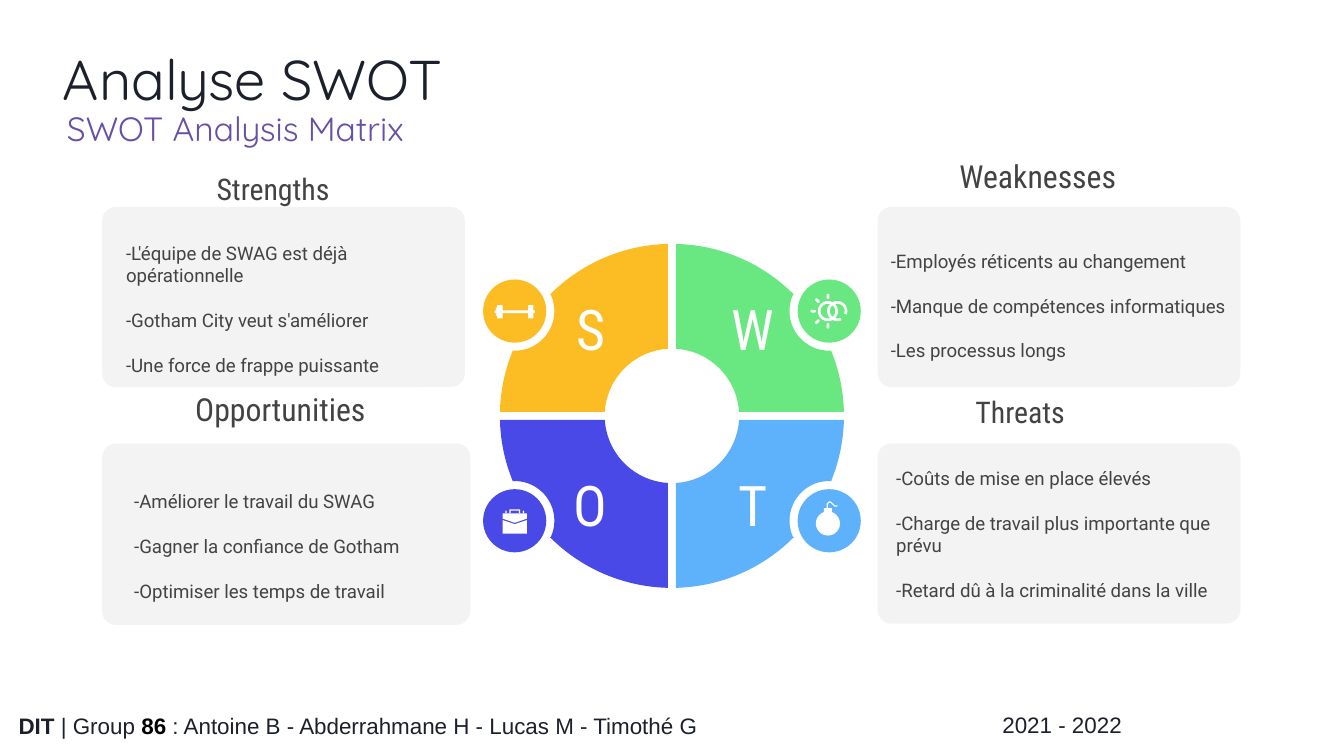
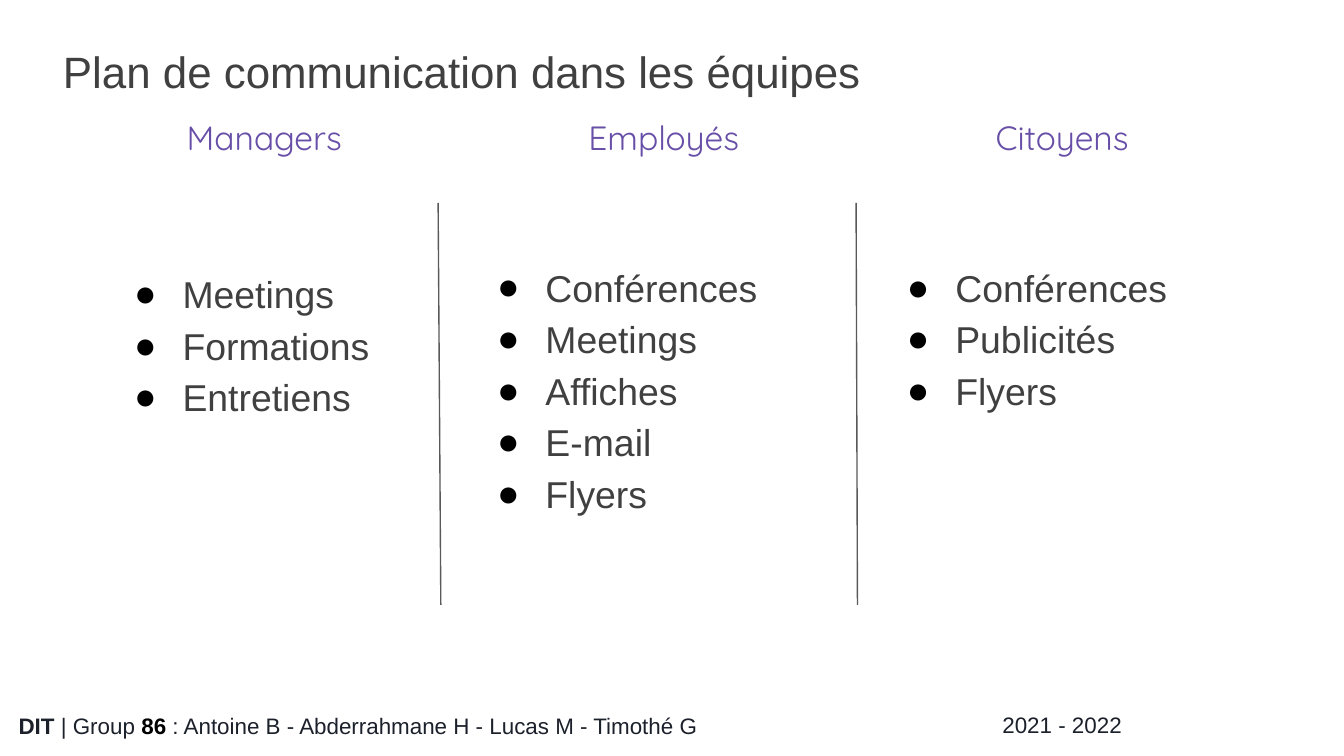
from math import atan2, cos, degrees, radians, sin

from lxml import etree
from pptx import Presentation
from pptx import util as u
from pptx.dml.color import RGBColor
from pptx.enum import shapes, text
from pptx.oxml import ns

# Shared style
INK, PURPLE, GREY, BODY = "1B202A", "674EA7", "434343", "404040"
CARD, RULE, WHITE, BLACK = "F3F3F3", "595959", "FFFFFF", "000000"
SANS, TITLE_FONT, ITEM_FONT, LABEL_FONT = "Arial", "Quicksand", "Roboto", "Roboto Condensed"
LEFT, RIGHT, CENTER = text.PP_ALIGN.LEFT, text.PP_ALIGN.RIGHT, text.PP_ALIGN.CENTER
TOP, MIDDLE = text.MSO_ANCHOR.TOP, text.MSO_ANCHOR.MIDDLE
OVAL, RECT = shapes.MSO_SHAPE.OVAL, shapes.MSO_SHAPE.RECTANGLE
ROUNDED = shapes.MSO_SHAPE.ROUNDED_RECTANGLE

# SWOT wheel: centre, radii and half of the gap between quadrants
WHEEL_X, WHEEL_Y = 5, 3.095
OUTER, INNER, GAP = 1.28, 0.5, 0.03
BADGE_DX, BADGE_DY, BADGE_R, NOTCH_R = 1.17, 0.78, 0.235, 0.295

# Letter, colour, side (x, y), card, heading (text, size, box), items (box, lines)
QUADRANTS = [
    ("T", "5EB2FC", (1, 1), (6.53, 3.3, 2.7, 1.34),
     ("Threats", 16, (7.16, 2.83, 2.06, 0.47)),
     ((6.57, 3.64, 2.61, 0.84),
      ["-Coûts de mise en place élevés",
       "-Charge de travail plus importante que prévu",
       "-Retard dû à la criminalité dans la ville"])),
    ("W", "69E781", (1, -1), (6.53, 1.54, 2.7, 1.34),
     ("Weaknesses", 17, (7.04, 1.07, 2.06, 0.47)),
     ((6.53, 1.94, 2.93, 0.84),
      ["-Employés réticents au changement",
       "-Manque de compétences informatiques", "-Les processus longs"])),
    ("O", "4949E7", (-1, 1), (0.76, 3.3, 2.74, 1.35),
     ("Opportunities", 17, (0.76, 2.81, 2.06, 0.47)),
     ((0.9, 3.73, 2.48, 0.84),
      ["-Améliorer le travail du SWAG", "-Gagner la confiance de Gotham",
       "-Optimiser les temps de travail"])),
    ("S", "FCBD24", (-1, -1), (0.76, 1.54, 2.7, 1.34),
     ("Strengths", 16, (0.49, 1.17, 2.06, 0.47)),
     ((0.84, 1.88, 2.54, 1.01),
      ["-L'équipe de SWAG est déjà opérationnelle",
       "-Gotham City veut s'améliorer", "-Une force de frappe puissante"])),
]

# Communication plan
CHANNELS = [
    ((0.4, 1.87, 2.59, 1.75), ["Meetings", "Formations", "Entretiens"]),
    ((6.15, 1.82, 3.23, 1.75), ["Conférences", "Publicités", "Flyers"]),
    ((3.1, 1.82, 3.91, 2.54), ["Conférences", "Meetings", "Affiches", "E-mail", "Flyers"]),
]
AUDIENCES = [("Managers", 0.89), ("Employés", 3.88), ("Citoyens", 6.91)]


# Basic elements
def inches(values):
    return [u.Inches(value) for value in values]


def rgb(colour):
    return RGBColor.from_string(colour)


def add_run(paragraph, words, size, font, colour, bold=False):
    run = paragraph.add_run()
    run.text = words
    run.font.size = u.Pt(size)
    run.font.name = font
    run.font.bold = bold
    run.font.color.rgb = rgb(colour)


def set_frame(frame, anchor, left=0.1, right=0.1, bottom=0.1):
    frame.word_wrap = True
    frame.vertical_anchor = anchor
    frame.margin_left, frame.margin_right = inches((left, right))
    frame.margin_top, frame.margin_bottom = inches((0.1, bottom))


def add_text(slide, box, lines, size, font, colour, anchor=TOP, align=LEFT,
             gap=0, bottom=0.1):
    frame = slide.shapes.add_textbox(*inches(box)).text_frame
    set_frame(frame, anchor, bottom=bottom)
    for index, line in enumerate(lines):
        paragraph = frame.add_paragraph() if index else frame.paragraphs[0]
        paragraph.alignment = align
        if index and gap:
            paragraph.space_before = u.Pt(gap)
        add_run(paragraph, line, size, font, colour)
    return frame


def paint(shape, colour):
    shape.shadow.inherit = False
    shape.fill.solid()
    shape.fill.fore_color.rgb = rgb(colour)
    shape.line.fill.background()
    return shape


def add_preset(slide, kind, box, colour):
    return paint(slide.shapes.add_shape(kind, *inches(box)), colour)


def add_disc(slide, x, y, radius, colour):
    add_preset(slide, OVAL, (x - radius, y - radius, 2 * radius, 2 * radius), colour)


def add_outline(slide, points, colour):
    points = [inches(point) for point in points]
    builder = slide.shapes.build_freeform(*points[0], scale=1.0)
    builder.add_line_segments(points[1:], close=True)
    return paint(builder.convert_to_shape(), colour)


def arc(x, y, radius, start, end, steps=30):
    angles = [radians(start + (end - start) * i / steps) for i in range(steps + 1)]
    return [(x + radius * cos(a), y + radius * sin(a)) for a in angles]


def add_divider(slide, *ends):
    line = slide.shapes.add_connector(shapes.MSO_CONNECTOR.STRAIGHT, *inches(ends))
    line.line.color.rgb = rgb(RULE)
    line.line.width = u.Pt(0.75)
    etree.SubElement(line._element.spPr, ns.qn("a:effectLst"))


def add_bullets(slide, box, lines):
    frame = add_text(slide, box, lines, 20, SANS, BODY)
    frame.paragraphs[0].space_before = u.Pt(12)
    for paragraph in frame.paragraphs:
        paragraph.line_spacing = 1.15
        props = paragraph._p.get_or_add_pPr()
        props.set("marL", str(u.Inches(0.86)))
        props.set("indent", str(u.Inches(-0.36)))
        bullet_colour = etree.SubElement(props, ns.qn("a:buClr"))
        etree.SubElement(bullet_colour, ns.qn("a:srgbClr"), val=BLACK)
        etree.SubElement(props, ns.qn("a:buFont"), typeface=SANS)
        etree.SubElement(props, ns.qn("a:buChar"), char="●")


def add_tabbed_headings(slide, box, headings):
    words = "".join("\t" + name for name, _ in headings)
    frame = add_text(slide, box, [words], 18, TITLE_FONT, PURPLE, MIDDLE)
    props = frame.paragraphs[0]._p.get_or_add_pPr()
    stops = etree.SubElement(props, ns.qn("a:tabLst"))
    for _, position in headings:
        etree.SubElement(stops, ns.qn("a:tab"), pos=str(u.Inches(position)), algn="l")


def add_page(deck):
    slide = deck.slides.add_slide(deck.slide_layouts[6])
    footer = add_text(slide, (0.04, 5.2, 7.16, 0.38), [], 12, SANS, INK)
    for words, colour, bold in [
            ("DIT", INK, True), (" | Group ", INK, False), ("86", BLACK, True),
            (" : Antoine B - Abderrahmane H - Lucas M - Timothé G", INK, False)]:
        add_run(footer.paragraphs[0], words, 12, SANS, colour, bold)
    add_text(slide, (7.36, 5.19, 1.29, 0.43), ["2021 - 2022"], 12, SANS, INK)
    return slide


# SWOT parts
def quadrant_points(side_x, side_y):
    edge = degrees(atan2(GAP, OUTER))
    hub_edge = degrees(atan2(GAP, INNER))
    points = (arc(0, 0, OUTER, 90 - edge, 44.8)
              + arc(BADGE_DX, BADGE_DY, NOTCH_R, 154, 274)
              + arc(0, 0, OUTER, 22.2, edge)
              + arc(0, 0, INNER, hub_edge, 90 - hub_edge))
    return [(WHEEL_X + side_x * x, WHEEL_Y + side_y * y) for x, y in points]


def add_quadrant(slide, letter, colour, side, card, heading, items):
    side_x, side_y = side
    wedge = add_outline(slide, quadrant_points(side_x, side_y), colour)
    insets = (0.1, 0.2) if side_x > 0 else (0.2, 0.1)
    set_frame(wedge.text_frame, MIDDLE, *insets)
    paragraph = wedge.text_frame.paragraphs[0]
    paragraph.alignment = CENTER
    add_run(paragraph, letter, 30, LABEL_FONT, WHITE)
    add_disc(slide, WHEEL_X + side_x * BADGE_DX, WHEEL_Y + side_y * BADGE_DY,
             BADGE_R, colour)

    add_preset(slide, ROUNDED, card, CARD).adjustments[0] = 0.077
    name, size, heading_box = heading
    add_text(slide, heading_box, [name], size, LABEL_FONT, GREY, MIDDLE,
             LEFT if side_x > 0 else RIGHT)
    items_box, lines = items
    add_text(slide, items_box, lines, 10, ITEM_FONT, GREY, MIDDLE, gap=12, bottom=0.27)


def add_dumbbell(slide):
    for box in [(3.68, 2.31, 0.3, 0.02), (3.7, 2.27, 0.04, 0.1), (3.93, 2.27, 0.04, 0.1),
                (3.69, 2.29, 0.02, 0.06), (3.94, 2.29, 0.02, 0.06)]:
        add_preset(slide, RECT, box, WHITE)


def add_linked_rings(slide):
    y = 2.315
    for x, start, end in [(6.16, 0, 360), (6.23, -215, 20), (6.23, 65, 145)]:
        band = arc(x, y, 0.075, start, end) + arc(x, y, 0.055, end, start)
        add_outline(slide, band, WHITE)
    for angle in range(90, 271, 45):
        ray_x, ray_y = arc(6.16, y, 0.11, angle, angle, 1)[0]
        ray = add_preset(slide, ROUNDED, (ray_x - 0.02, ray_y - 0.01, 0.04, 0.02), WHITE)
        ray.adjustments[0] = 0.5
        ray.rotation = angle


def add_briefcase(slide):
    for part in [
            [(3.74, 3.82), (3.92, 3.82), (3.92, 3.86), (3.83, 3.89), (3.74, 3.86)],
            [(3.74, 3.87), (3.83, 3.9), (3.92, 3.87), (3.92, 3.97), (3.74, 3.97)],
            [(3.79, 3.82), (3.79, 3.79), (3.87, 3.79), (3.87, 3.82),
             (3.86, 3.82), (3.86, 3.8), (3.8, 3.8), (3.8, 3.82)]]:
        add_outline(slide, part, WHITE)
    for latch_x in (3.76, 3.89):
        add_preset(slide, RECT, (latch_x, 3.8, 0.01, 0.02), WHITE)


def add_bomb(slide):
    add_disc(slide, 6.16, 3.895, 0.09, WHITE)
    add_preset(slide, RECT, (6.13, 3.78, 0.06, 0.05), WHITE)
    add_outline(slide, [(6.15, 3.78), (6.15, 3.75), (6.17, 3.73), (6.18, 3.73),
                        (6.2, 3.75), (6.21, 3.76), (6.23, 3.76), (6.23, 3.77),
                        (6.21, 3.77), (6.19, 3.75), (6.18, 3.74), (6.17, 3.74),
                        (6.16, 3.75), (6.16, 3.78)], WHITE)


# Slides
def build_swot(deck):
    slide = add_page(deck)
    add_text(slide, (0.37, 0.23, 6.46, 0.7), ["Analyse SWOT"], 30, TITLE_FONT, INK)
    add_text(slide, (0.4, 0.77, 4.19, 0.36), ["SWOT Analysis Matrix"], 18,
             TITLE_FONT, PURPLE, MIDDLE)
    for quadrant in QUADRANTS:
        add_quadrant(slide, *quadrant)
    for add_icon in (add_linked_rings, add_briefcase, add_dumbbell, add_bomb):
        add_icon(slide)


def build_communication_plan(deck):
    slide = add_page(deck)
    add_text(slide, (0.37, 0.23, 9.35, 0.7),
             ["Plan de communication dans les équipes"], 23.5, SANS, BODY)
    add_tabbed_headings(slide, (0.4, 0.84, 8.8, 0.36), AUDIENCES)
    add_divider(slide, 6.37, 1.51, 6.38, 4.5)
    add_divider(slide, 3.26, 1.51, 3.28, 4.5)
    for box, channels in CHANNELS:
        add_bullets(slide, box, channels)


def main():
    deck = Presentation()
    deck.slide_width = u.Inches(10)
    deck.slide_height = u.Inches(10 * 9 / 16)
    build_swot(deck)
    build_communication_plan(deck)
    deck.save("out.pptx")


if __name__ == "__main__":
    main()
